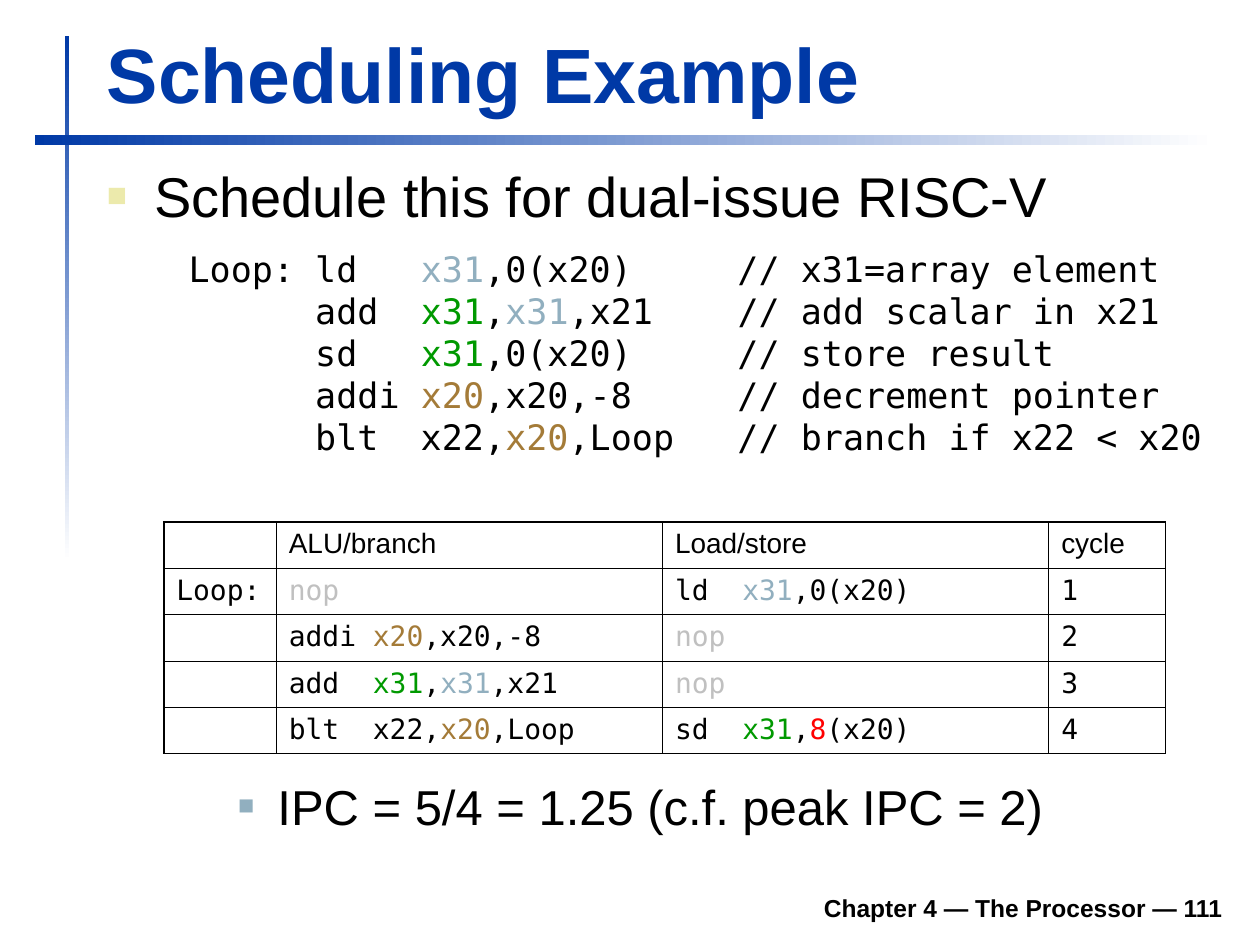
from pptx import Presentation
from pptx.dml.color import RGBColor
from pptx.enum.shapes import MSO_SHAPE
from pptx.enum.text import MSO_ANCHOR, PP_ALIGN
from pptx.oxml.ns import qn
from pptx.util import Pt
from lxml.etree import SubElement

RECTANGLE = MSO_SHAPE.RECTANGLE
TOP, BOTTOM = MSO_ANCHOR.TOP, MSO_ANCHOR.BOTTOM
LEFT, RIGHT = PP_ALIGN.LEFT, PP_ALIGN.RIGHT

SANS, MONO = "Arial", "DejaVu Sans Mono"
BLACK, WHITE, BLUE, CREAM = "000000", "FFFFFF", "0039A6", "ECEAAC"
STEEL, GREEN, BROWN, GREY, RED = "91AFBF", "009900", "A47B38", "C0C0C0", "FF0000"

# Coloured code pieces: plain strings are black, pairs carry their own colour
LOADED = ("x31", STEEL)
SUM = ("x31", GREEN)
POINTER = ("x20", BROWN)
NOP = [("nop", GREY)]

CODE_LINES = [
    ["Loop: ld   ", LOADED, ",0(x20)     // x31=array element"],
    ["      add  ", SUM, ",", LOADED, ",x21    // add scalar in x21"],
    ["      sd   ", SUM, ",0(x20)     // store result"],
    ["      addi ", POINTER, ",x20,-8     // decrement pointer"],
    ["      blt  x22,", POINTER, ",Loop   // branch if x22 < x20"],
]

SCHEDULE = [
    [[], ["ALU/branch"], ["Load/store"], ["cycle"]],
    [["Loop:"], NOP, ["ld  ", LOADED, ",0(x20)"], ["1"]],
    [[], ["addi ", POINTER, ",x20,-8"], NOP, ["2"]],
    [[], ["add  ", SUM, ",", LOADED, ",x21"], NOP, ["3"]],
    [[], ["blt  x22,", POINTER, ",Loop"], ["sd  ", SUM, ",", ("8", RED), "(x20)"], ["4"]],
]
COLUMN_WIDTHS = [64.3, 220.7, 220.7, 66.7]
ROW_HEIGHT = 26.5
OUTER_LINE, HEADER_LINE, INNER_LINE = 1.08, 0.75, 0.45


def color(hex_string):
    return RGBColor.from_string(hex_string)


def set_attributes(target, values):
    for name, value in values.items():
        setattr(target, name, value)


def add_runs(paragraph, pieces, font_values, text_color=BLACK):
    for piece in pieces:
        text, run_color = (piece, text_color) if isinstance(piece, str) else piece
        run = paragraph.add_run()
        run.text = text
        set_attributes(run.font, font_values)
        run.font.color.rgb = color(run_color)


def add_bullet(paragraph, bullet_color, percent, margin, hanging):
    properties = paragraph._p.get_or_add_pPr()
    properties.set("marL", str(Pt(margin)))
    properties.set("indent", str(-Pt(hanging)))
    bullet = SubElement(properties, qn("a:buClr"))
    SubElement(bullet, qn("a:srgbClr"), val=bullet_color)
    SubElement(properties, qn("a:buSzPct"), val=str(percent * 1000))
    SubElement(properties, qn("a:buFont"), typeface=SANS)
    SubElement(properties, qn("a:buChar"), char="■")


def add_text(slide, box, lines, font_values, text_color=BLACK, anchor=TOP,
             alignment=LEFT, bullet=None):
    shape = slide.shapes.add_textbox(*map(Pt, box))
    set_attributes(shape.text_frame, {"word_wrap": True, "vertical_anchor": anchor})
    paragraph = shape.text_frame.paragraphs[0]
    paragraph.alignment = alignment
    if bullet:
        add_bullet(paragraph, **bullet)
    for index, pieces in enumerate(lines):
        if index:
            paragraph.add_line_break()
        add_runs(paragraph, pieces, font_values, text_color)


def add_gradient_bar(slide, box, angle):
    shape = slide.shapes.add_shape(RECTANGLE, *map(Pt, box))
    shape.shadow.inherit = False
    shape.line.fill.background()
    shape.fill.gradient()
    shape.fill.gradient_angle = angle
    for stop, position, stop_color in zip(shape.fill.gradient_stops, (0, 1), (BLUE, WHITE)):
        stop.position = position
        stop.color.rgb = color(stop_color)


def add_borders(cell, widths):
    properties = cell._tc.get_or_add_tcPr()
    for side, width in widths.items():
        line = SubElement(properties, qn(f"a:ln{side}"), w=str(Pt(width)))
        fill = SubElement(line, qn("a:solidFill"))
        SubElement(fill, qn("a:srgbClr"), val=BLACK)


def add_schedule_table(slide, left, top):
    last_row, last_column = len(SCHEDULE) - 1, len(COLUMN_WIDTHS) - 1
    table = slide.shapes.add_table(
        last_row + 1, last_column + 1, Pt(left), Pt(top),
        Pt(sum(COLUMN_WIDTHS)), Pt(ROW_HEIGHT * len(SCHEDULE))).table
    set_attributes(table, {"first_row": False, "horz_banding": False})
    for column, width in zip(table.columns, COLUMN_WIDTHS):
        column.width = Pt(width)

    for row_index, row in enumerate(SCHEDULE):
        table.rows[row_index].height = Pt(ROW_HEIGHT)
        font_values = {"name": MONO if row_index else SANS, "size": Pt(16)}
        top_line = {0: OUTER_LINE, 1: HEADER_LINE}.get(row_index, INNER_LINE)
        for column_index, pieces in enumerate(row):
            cell = table.cell(row_index, column_index)
            add_borders(cell, {
                "L": INNER_LINE if column_index else OUTER_LINE,
                "R": OUTER_LINE if column_index == last_column else INNER_LINE,
                "T": top_line,
                "B": INNER_LINE if row_index else HEADER_LINE,
            })
            cell.fill.background()
            paragraph = cell.text_frame.paragraphs[0]
            if pieces:
                add_runs(paragraph, pieces, font_values)
            else:
                # Keeps the empty cell from growing the row
                SubElement(paragraph._p, qn("a:endParaRPr"), sz="1600")


def main():
    presentation = Presentation()
    set_attributes(presentation, {"slide_width": Pt(720), "slide_height": Pt(540)})
    slide = presentation.slides.add_slide(presentation.slide_layouts[6])

    # Crossed bars
    add_gradient_bar(slide, (37, 20.5, 2.5, 300), 270)
    add_gradient_bar(slide, (19.8, 77, 675, 6), 0)

    # Footer and title
    add_text(slide, (133.2, 502.5, 572.5, 28), [["Chapter 4 — The Processor — 111"]],
             {"name": SANS, "size": Pt(14), "bold": True}, anchor=BOTTOM, alignment=RIGHT)
    add_text(slide, (54, 11.5, 650, 60), [["Scheduling Example"]],
             {"name": SANS, "size": Pt(44), "bold": True}, text_color=BLUE, anchor=BOTTOM)

    # Task and its code, in a box wide enough for the longest line
    add_text(slide, (54, 88.5, 651, 55), [["Schedule this for dual-issue RISC-V"]],
             {"name": SANS, "size": Pt(32)},
             bullet={"bullet_color": CREAM, "percent": 60, "margin": 27, "hanging": 27})
    add_text(slide, (100.7, 137.9, 605, 127.5), CODE_LINES,
             {"name": MONO, "size": Pt(20)})

    # Schedule and result
    add_schedule_table(slide, 93.6, 298.2)
    add_text(slide, (93, 440, 612, 51), [["IPC = 5/4 = 1.25 (c.f. peak IPC = 2)"]],
             {"name": SANS, "size": Pt(28)},
             bullet={"bullet_color": STEEL, "percent": 55, "margin": 58.5, "hanging": 22.5})

    presentation.save("out.pptx")


if __name__ == "__main__":
    main()
